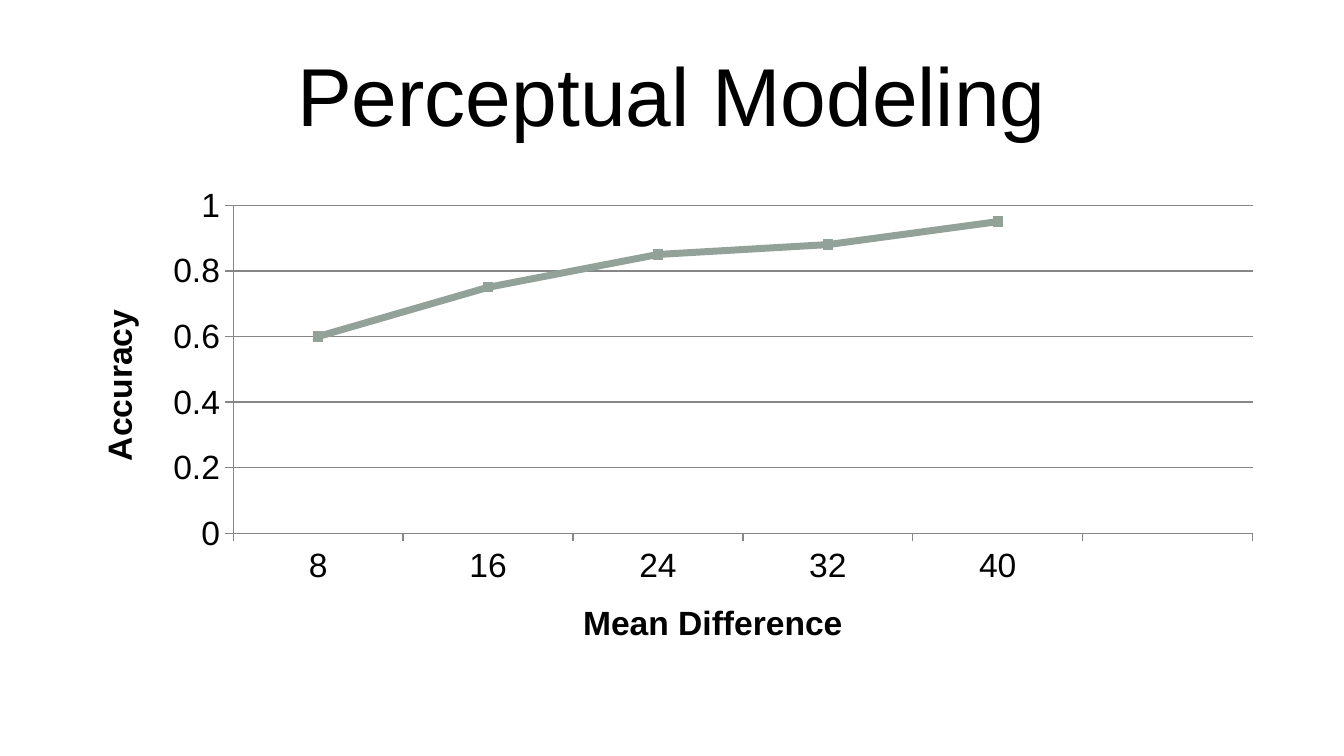
"""Build the Perceptual Modeling slide with its accuracy line chart."""
import pptx
import pptx.chart.data
import pptx.dml.color
import pptx.enum.chart
import pptx.enum.text
import pptx.util

Pt = pptx.util.Pt
RGB = pptx.dml.color.RGBColor.from_string
hues = {"text": "000000", "line": "93A299", "grid": "868686"}


def write(frame, text, size=18, bold=False):
    para = frame.paragraphs[0]
    para.alignment = pptx.enum.text.PP_ALIGN.CENTER
    run = para.add_run()
    run.text = text
    run.font.name = "Arial"
    run.font.size = Pt(size)
    run.font.bold = bold
    run.font.color.rgb = RGB(hues["text"])


deck = pptx.Presentation()
deck.slide_width, deck.slide_height = Pt(720), Pt(405)
slide = deck.slides.add_slide(deck.slide_layouts[6])

title = slide.shapes.add_textbox(Pt(36), Pt(16.5), Pt(648), Pt(67.5)).text_frame
title.word_wrap = True
title.vertical_anchor = pptx.enum.text.MSO_ANCHOR.MIDDLE
write(title, "Perceptual Modeling", size=44)

data = pptx.chart.data.CategoryChartData()
data.categories = ["8", "16", "24", "32", "40", ""]
data.add_series("Series 1", [0.6, 0.75, 0.85, 0.88, 0.95, None])
kind = pptx.enum.chart.XL_CHART_TYPE.LINE_MARKERS
chart = slide.shapes.add_chart(kind, Pt(36), Pt(94.5), Pt(648), Pt(267), data).chart
chart.has_title = False
chart.has_legend = False
chart.font.name = "Arial"
chart.font.size = Pt(18)
chart.font.color.rgb = RGB(hues["text"])
chart.plots[0].vary_by_categories = False

across, up = chart.category_axis, chart.value_axis
up.minimum_scale, up.maximum_scale, up.major_unit = 0, 1, 0.2
up.has_major_gridlines = True
up.tick_labels.number_format = "General"
up.tick_labels.number_format_is_linked = False
for axis, name in ((across, "Mean Difference"), (up, "Accuracy")):
    axis.major_tick_mark = pptx.enum.chart.XL_TICK_MARK.OUTSIDE
    write(axis.axis_title.text_frame, name, bold=True)
for item in (across, up, up.major_gridlines):
    item.format.line.color.rgb = RGB(hues["grid"])
    item.format.line.width = Pt(0.75)

curve = chart.series[0]
curve.smooth = False
curve.format.line.width = Pt(3.75)
curve.format.line.color.rgb = RGB(hues["line"])
mark = curve.marker
mark.style = pptx.enum.chart.XL_MARKER_STYLE.SQUARE
mark.size = 5
mark.format.fill.solid()
mark.format.fill.fore_color.rgb = RGB(hues["line"])
mark.format.line.color.rgb = RGB(hues["line"])

deck.save("out.pptx")
